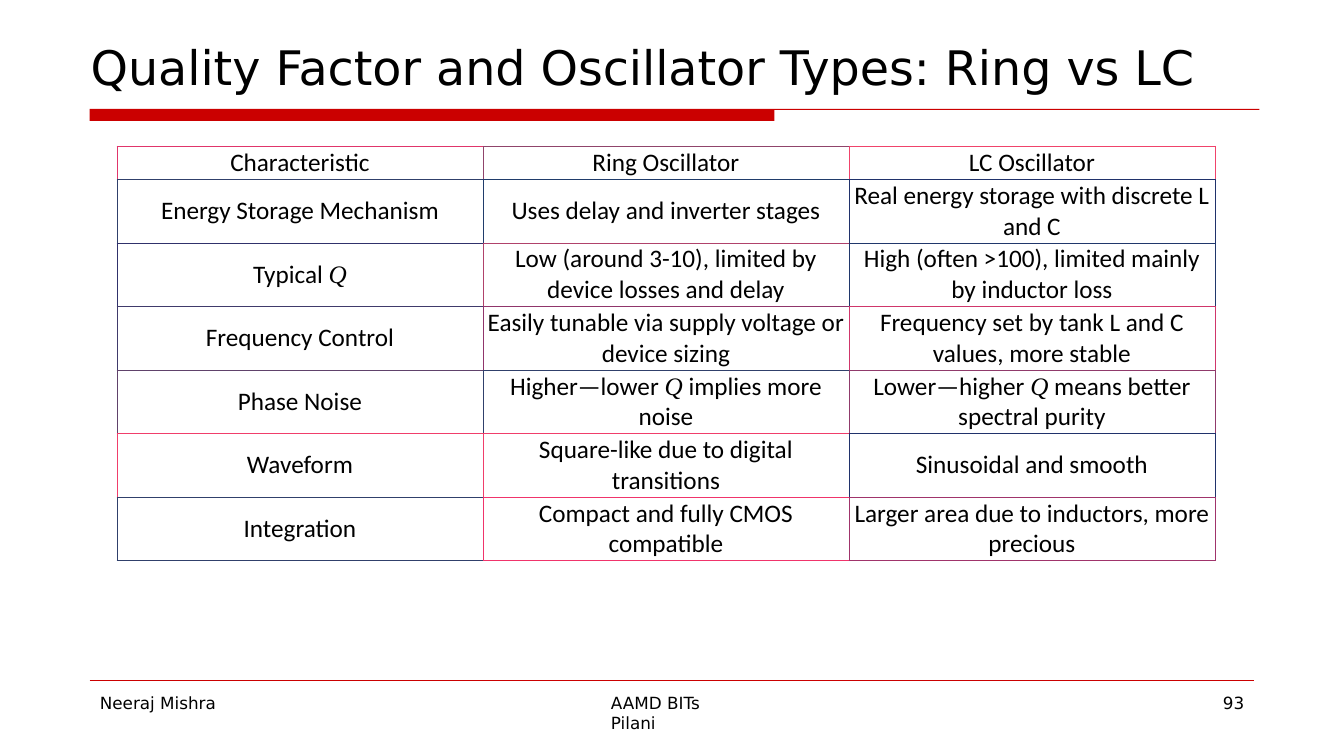
import pptx
import pptx.util
import pptx.dml.color
import pptx.enum.shapes
import pptx.enum.text
import pptx.oxml
import pptx.oxml.ns
from lxml import etree

SCALE = 9144
SANS = "DejaVu Sans"
RED = "CB0000"
BLACK = "000000"
ROWS = [
    ["Characteristic", "Ring Oscillator", "LC Oscillator"],
    ["Energy Storage Mechanism", "Uses delay and inverter stages",
     "Real energy storage with discrete L and C"],
    ["Typical Q", "Low (around 3-10), limited by device losses and delay",
     "High (often >100), limited mainly by inductor loss"],
    ["Frequency Control", "Easily tunable via supply voltage or device sizing",
     "Frequency set by tank L and C values, more stable"],
    ["Phase Noise", "Higher—lower Q implies more noise",
     "Lower—higher Q means better spectral purity"],
    ["Waveform", "Square-like due to digital transitions", "Sinusoidal and smooth"],
    ["Integration", "Compact and fully CMOS compatible",
     "Larger area due to inductors, more precious"],
]
EDGES = [
    ["E0356B", "90446B", "F0436B"],
    ["30406B", "203C6B", "20326B"],
    ["30316B", "B0426B", "20376B"],
    ["403A6B", "90356B", "D0366B"],
    ["60426B", "30406B", "903A6B"],
    ["F03E6B", "F03E6B", "20326B"],
    ["30406B", "F0346B", "A0346B"],
]


def px(n):
    return pptx.util.Emu(n * SCALE)


def tint(code):
    return pptx.dml.color.RGBColor.from_string(code)


def style(font, size, name):
    font.size = pptx.util.Pt(size)
    font.name = name
    font.color.rgb = tint(BLACK)


def frame(shape, box, words, size):
    shape.left, shape.top, shape.width, shape.height = map(px, box)
    text = shape.text_frame
    text.margin_left = text.margin_top = text.margin_right = text.margin_bottom = 0
    text.word_wrap = True
    text.auto_size = pptx.enum.text.MSO_AUTO_SIZE.NONE
    text.vertical_anchor = pptx.enum.text.MSO_ANCHOR.TOP
    text.text = words
    para = text.paragraphs[0]
    para.alignment = pptx.enum.text.PP_ALIGN.LEFT
    style(para.font, size, SANS)


def header(slide, box):
    x, y, w, h = box
    frame(slide.shapes.title, (x + 1, y, w - 2, 57), "Quality Factor and Oscillator Types: Ring vs LC", 34)
    top, low, split = y + h - 12, y + h, x + 679
    form = slide.shapes.build_freeform(x + w, top, scale=SCALE)
    form.add_line_segments([(x, top), (x, low), (split, low), (split, top + 1), (x + w, top + 1)], close=True)
    bar = form.convert_to_shape()
    bar.shadow.inherit = False
    bar.fill.solid()
    bar.fill.fore_color.rgb = tint(RED)
    bar.line.fill.background()


def border(cell, sides):
    props = cell._tc.get_or_add_tcPr()
    for side, code in sides.items():
        props.append(pptx.oxml.parse_xml(
            f'<a:ln{side} {pptx.oxml.ns.nsdecls("a")} w="6350"><a:solidFill>'
            f'<a:srgbClr val="{code}"/></a:solidFill></a:ln{side}>'))


def write(cell, words):
    para = cell.text_frame.paragraphs[0]
    para.alignment = pptx.enum.text.PP_ALIGN.CENTER
    for part in words.partition("Q"):
        if part:
            run = para.add_run()
            run.text = part
            style(run.font, 18, "Times New Roman" if part == "Q" else "Calibri")
            if part == "Q":
                run.font.italic = True


def grid(slide, box):
    x, y, w, h = box
    count, wide = len(ROWS), len(ROWS[0])
    table = slide.shapes.add_table(count, wide, *map(px, box)).table
    table.first_row = table.horz_banding = False
    head = 33
    for col in table.columns:
        col.width = px(w // wide)
    for i, row in enumerate(table.rows):
        row.height = px((h - head) // (count - 1) if i else head)
        for j, cell in enumerate(row.cells):
            own = EDGES[i][j]
            border(cell, {"L": own, "R": EDGES[i][min(j + 1, wide - 1)],
                          "T": own, "B": EDGES[min(i + 1, count - 1)][j]})
            cell.fill.background()
            cell.margin_left = cell.margin_right = px(1)
            cell.margin_top = cell.margin_bottom = px(1)
            if i:
                cell.vertical_anchor = pptx.enum.text.MSO_ANCHOR.MIDDLE
            write(cell, ROWS[i][j])


def footer(slide, box):
    x, y, w, h = box
    line = slide.shapes.add_connector(
        pptx.enum.shapes.MSO_CONNECTOR.STRAIGHT, px(x), px(y), px(x + w), px(y))
    line.line.color.rgb = tint(RED)
    line.line.width = pptx.util.Pt(0.25)
    etree.SubElement(line._element.spPr, pptx.oxml.ns.qn("a:effectLst"))
    for left, wide, words in [(517, 123, "AAMD BITs Pilani"), (10, 118, "Neeraj Mishra"), (1124, 27, "93")]:
        note = slide.shapes.add_textbox(0, 0, 0, 0)
        frame(note, (x + left, y + 12, wide, h - 12), words, 12)


def main():
    deck = pptx.Presentation()
    deck.slide_width, deck.slide_height = px(1333), px(750)
    slide = deck.slides.add_slide(deck.slide_layouts[5])
    header(slide, (89, 38, 1160, 82))
    grid(slide, (116, 145, 1089, 411))
    footer(slide, (89, 675, 1155, 35))
    deck.save("out.pptx")


if __name__ == "__main__":
    main()
